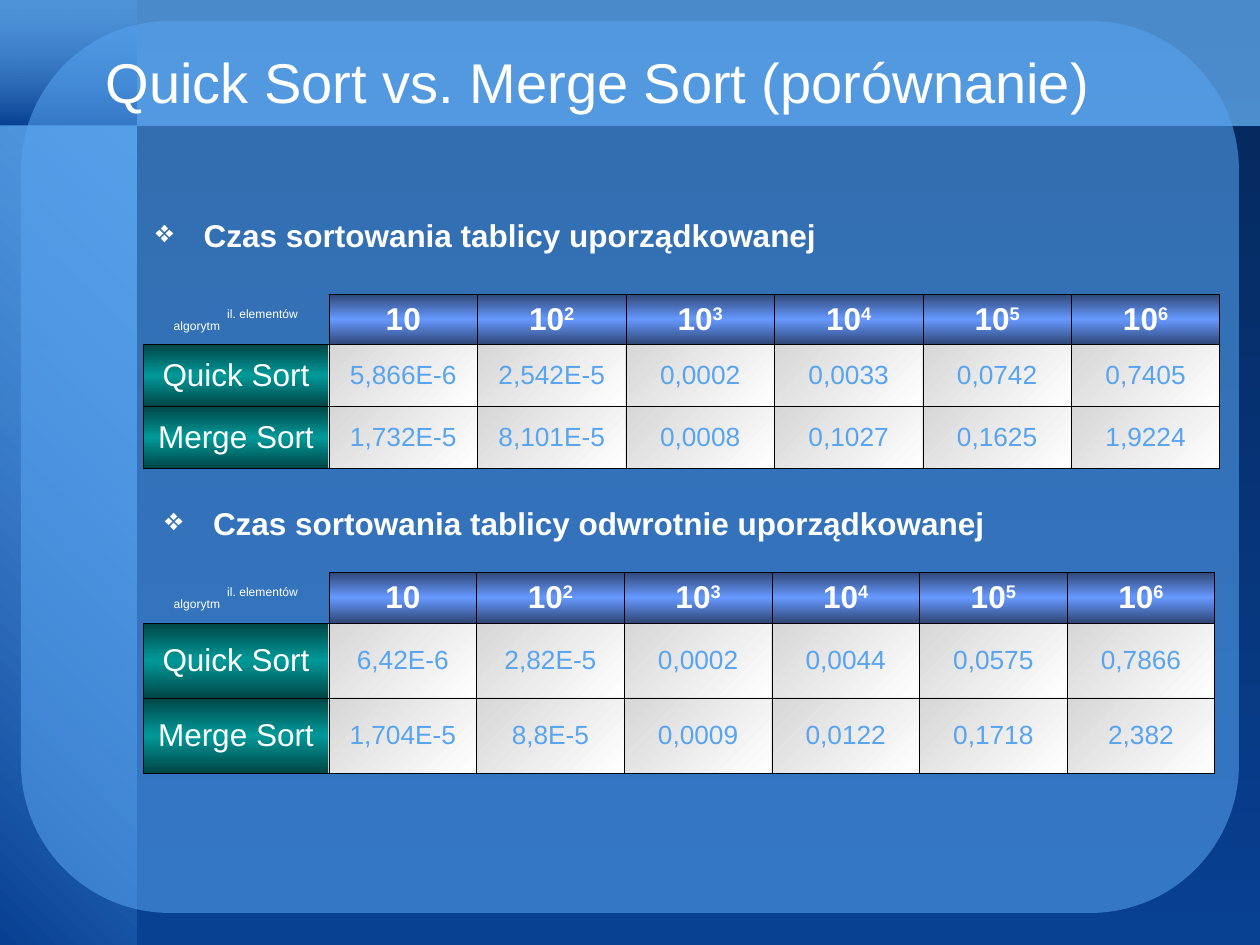
from dataclasses import dataclass

from lxml import etree
from pptx import Presentation
from pptx.dml.color import RGBColor
from pptx.enum.shapes import MSO_SHAPE
from pptx.enum.text import MSO_ANCHOR, MSO_AUTO_SIZE, PP_ALIGN
from pptx.oxml.ns import qn
from pptx.util import Pt

RECTANGLE, ROUNDED = MSO_SHAPE.RECTANGLE, MSO_SHAPE.ROUNDED_RECTANGLE
MIDDLE, CENTER = MSO_ANCHOR.MIDDLE, PP_ALIGN.CENTER
FIT_SHAPE = MSO_AUTO_SIZE.SHAPE_TO_FIT_TEXT
PX = 914400 / 126
NO_STYLE = "{2D5ABB26-0587-4C30-8999-92F81FD0307C}"


@dataclass(frozen=True)
class Theme:
    font: str = "Arial"
    white: str = "FFFFFF"
    black: str = "000000"
    sky: str = "58A4F0"
    steel: str = "4A8ACA"
    royal: str = "084092"
    navy: str = "052A60"
    header: tuple = ("2F4675", "6699FF", "2F4675")
    algorithm: tuple = ("004646", "009999", "004646")
    value: tuple = ("FFFFFF", "D7D7D7")
    title_size: int = 32
    label_size: int = 18
    value_size: int = 15
    corner_size: int = 12
    border_width: float = 0.45


theme = Theme()


def paint(fill, element, colors, angle, first_alpha=100):
    fill.gradient()
    fill.gradient_angle = 360 - angle
    stops = next(element.iter(qn("a:gsLst")))
    for stop in list(stops):
        stops.remove(stop)
    for index, color in enumerate(colors):
        position = index * 100000 // (len(colors) - 1)
        stop = etree.SubElement(stops, qn("a:gs"), pos=str(position))
        tint = etree.SubElement(stop, qn("a:srgbClr"), val=color)
        if index == 0 and first_alpha < 100:
            etree.SubElement(tint, qn("a:alpha"), val=str(first_alpha * 1000))


def write(paragraph, text, size, color=theme.white, bold=False, baseline=0):
    paragraph.alignment = CENTER
    run = paragraph.add_run()
    run.text = text
    run.font.name = theme.font
    run.font.size = Pt(size)
    run.font.bold = bold
    run.font.color.rgb = RGBColor.from_string(color)
    if baseline:
        run.font._element.set("baseline", str(baseline * 1000))


presentation = Presentation()
presentation.slide_width = round(1260 * PX)
presentation.slide_height = round(945 * PX)
slide = presentation.slides.add_slide(presentation.slide_layouts[6])
paint(slide.background.fill, slide._element, (theme.steel, theme.sky), 90)

panels = [
    ((0, 0, 137, 126), (theme.sky, theme.royal), 90, 35),
    ((137, 126, 1123, 819), (theme.navy, theme.royal), 90, 100),
    ((0, 126, 137, 819), (theme.sky, theme.royal), 135, 59),
]
for box, colors, angle, alpha in panels:
    panel = slide.shapes.add_shape(RECTANGLE, *[round(side * PX) for side in box])
    panel.shadow.inherit = False
    panel.line.fill.background()
    paint(panel.fill, panel._element, colors, angle, alpha)

card = slide.shapes.add_shape(ROUNDED, *[round(side * PX) for side in (21, 21, 1218, 892)])
card.adjustments[0] = 0.167
card.shadow.inherit = False
card.line.fill.background()
card.fill.solid()
card.fill.fore_color.rgb = RGBColor.from_string(theme.sky)
card_color = next(card._element.spPr.iter(qn("a:srgbClr")))
etree.SubElement(card_color, qn("a:alpha"), val="56000")

title = slide.shapes.add_textbox(*[round(side * PX) for side in (73, 42, 1050, 78)])
title.text_frame.word_wrap = True
title.text_frame.vertical_anchor = MIDDLE
write(title.text_frame.paragraphs[0], "Quick Sort vs. Merge Sort (porównanie)", theme.title_size)

sections = [
    {
        "heading": "Czas sortowania tablicy uporządkowanej",
        "heading_box": (139, 214, 694, 47),
        "table_box": (143, 294, 1077, 174),
        "header_height": 50,
        "times": [
            ("Quick Sort", "5,866E-6", "2,542E-5", "0,0002", "0,0033", "0,0742", "0,7405"),
            ("Merge Sort", "1,732E-5", "8,101E-5", "0,0008", "0,1027", "0,1625", "1,9224"),
        ],
    },
    {
        "heading": "Czas sortowania tablicy odwrotnie uporządkowanej",
        "heading_box": (147, 502, 856, 47),
        "table_box": (143, 572, 1072, 201),
        "header_height": 51,
        "times": [
            ("Quick Sort", "6,42E-6", "2,82E-5", "0,0002", "0,0044", "0,0575", "0,7866"),
            ("Merge Sort", "1,704E-5", "8,8E-5", "0,0009", "0,0122", "0,1718", "2,382"),
        ],
    },
]
label_width = 186
exponents = ("", "2", "3", "4", "5", "6")

for section in sections:
    heading = slide.shapes.add_textbox(*[round(side * PX) for side in section["heading_box"]])
    heading.text_frame.word_wrap = False
    heading.text_frame.auto_size = FIT_SHAPE
    paragraph = heading.text_frame.paragraphs[0]
    paragraph.line_spacing = 0.9
    properties = paragraph._p.get_or_add_pPr()
    properties.set("marL", str(round(48 * PX)))
    properties.set("indent", str(round(-48 * PX)))
    bullet_color = etree.SubElement(properties, qn("a:buClr"))
    etree.SubElement(bullet_color, qn("a:srgbClr"), val=theme.white)
    etree.SubElement(properties, qn("a:buChar"), char="❖")
    write(paragraph, section["heading"], theme.label_size, bold=True)

    rows = [("", *exponents), *section["times"]]
    box = section["table_box"]
    frame = slide.shapes.add_table(len(rows), len(rows[0]), *[round(side * PX) for side in box])
    table = frame.table
    table.first_row = False
    table.horz_banding = False
    next(table._tbl.iter(qn("a:tableStyleId"))).text = NO_STYLE
    value_width = (box[2] - label_width) / len(exponents)
    value_height = (box[3] - section["header_height"]) / len(section["times"])
    for index, column in enumerate(table.columns):
        column.width = round((value_width if index else label_width) * PX)
    for index, row in enumerate(table.rows):
        row.height = round((value_height if index else section["header_height"]) * PX)

    for row_index, row in enumerate(rows):
        for column_index, text in enumerate(row):
            cell = table.cell(row_index, column_index)
            cell.vertical_anchor = MIDDLE
            paragraph = cell.text_frame.paragraphs[0]
            corner = row_index == column_index == 0
            for side in ("lnL", "lnR", "lnT", "lnB"):
                border = etree.SubElement(cell._tc.get_or_add_tcPr(), qn("a:" + side))
                if corner and side in ("lnL", "lnT"):
                    etree.SubElement(border, qn("a:noFill"))
                else:
                    border.set("w", str(Pt(theme.border_width)))
                    line_fill = etree.SubElement(border, qn("a:solidFill"))
                    etree.SubElement(line_fill, qn("a:srgbClr"), val=theme.black)
            if corner:
                cell.fill.background()
                write(paragraph, "algorytm ", theme.corner_size, baseline=-25)
                write(paragraph, " il. elementów", theme.corner_size, baseline=30)
            elif row_index == 0:
                paint(cell.fill, cell._tc, theme.header, 90)
                write(paragraph, "10", theme.label_size, bold=True)
                if text:
                    write(paragraph, text, theme.label_size, bold=True, baseline=30)
            elif column_index == 0:
                paint(cell.fill, cell._tc, theme.algorithm, 90)
                write(paragraph, text, theme.label_size)
            else:
                paint(cell.fill, cell._tc, theme.value, 225)
                write(paragraph, text, theme.value_size, theme.sky)

presentation.save("out.pptx")
